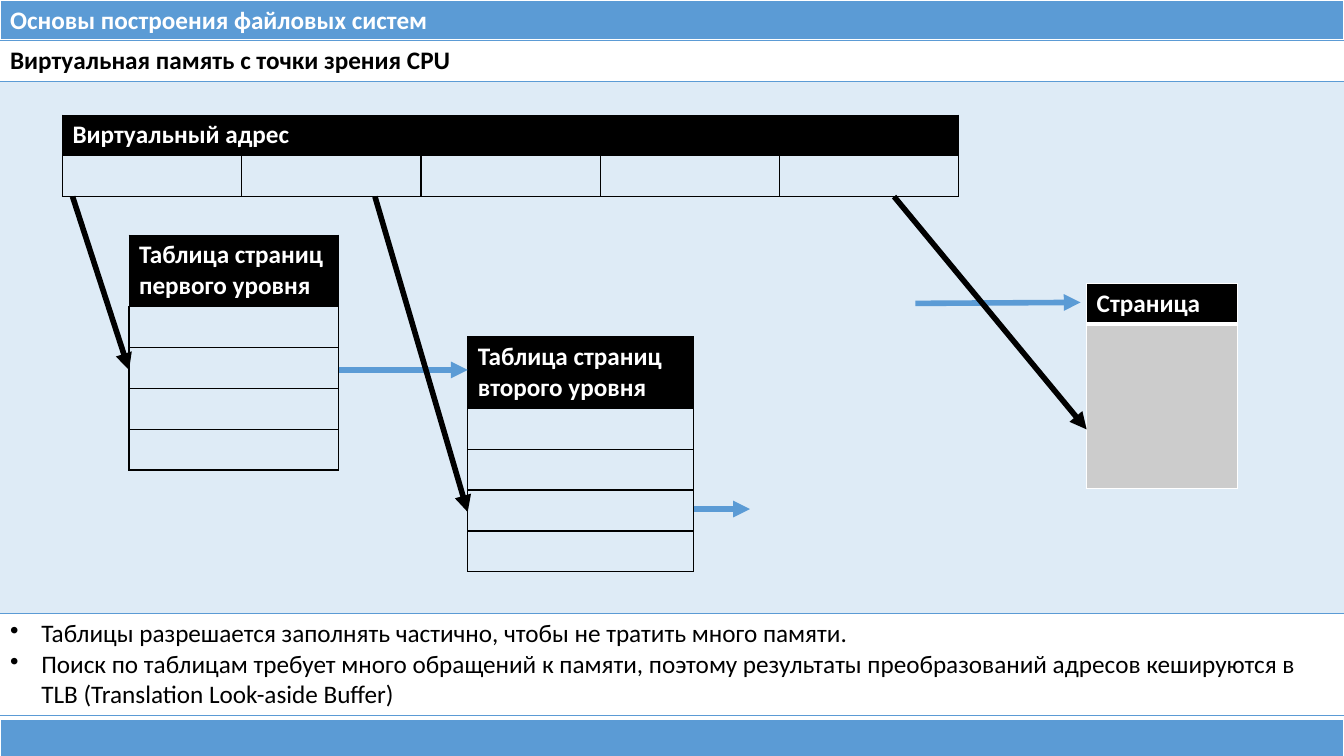
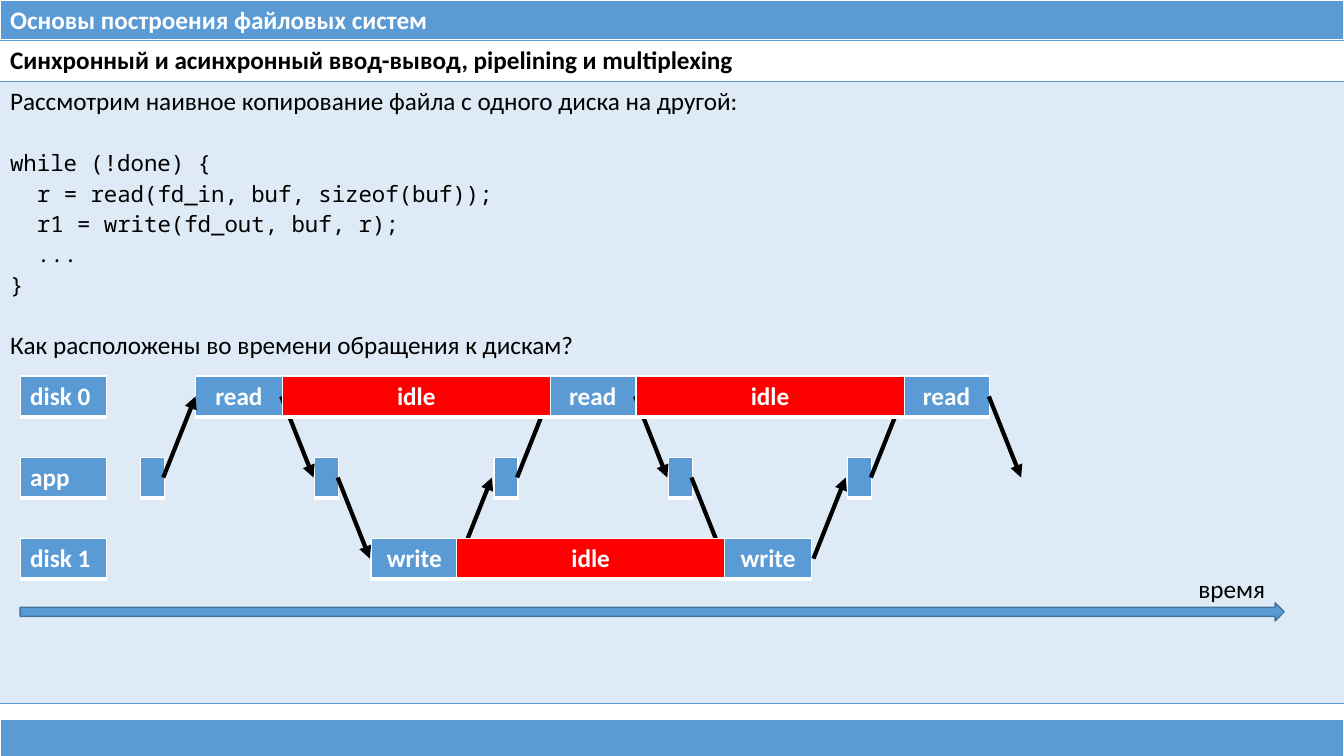
"""Build two lecture slides: virtual memory lookup and disk access timing."""
from dataclasses import dataclass, field

from lxml import etree
from pptx import Presentation
from pptx.dml.color import RGBColor
from pptx.enum.shapes import MSO_CONNECTOR, MSO_SHAPE
from pptx.enum.text import MSO_AUTO_SIZE, PP_ALIGN
from pptx.oxml.ns import qn
from pptx.slide import Slide
from pptx.text.text import _Paragraph as Paragraph
from pptx.util import Inches, Pt

STRAIGHT = MSO_CONNECTOR.STRAIGHT
RIGHT_ARROW = MSO_SHAPE.RIGHT_ARROW
LEFT, CENTER = PP_ALIGN.LEFT, PP_ALIGN.CENTER
FIT_TEXT = MSO_AUTO_SIZE.SHAPE_TO_FIT_TEXT

COLORS = {
    "white": "FFFFFF",
    "black": "000000",
    "blue": "5B9BD5",
    "outline": "43739E",
    "red": "FF0000",
    "gray": "CCCCCC",
}
BODY_FONT, CODE_FONT = "Calibri", "Noto Sans Mono"
NO_STYLE = "{2D5ABB26-0587-4C30-8999-92F81FD0307C}"
SIDES = ("L", "R", "T", "B")

UNIT = Inches(0.1)
COLUMNS, ROWS = 133.33, 75
LINE_ROW = 4.05
BAND_ROW = 4
FOOTER_TOP = 71.4

LANES = {name: 37.3 + 8.05 * index for index, name in enumerate(("disk 0", "app", "disk 1"))}
PERIOD = 35.1
ACCESS_WIDTH, APP_WIDTH, IDLE_WIDTH = 8.6, 2.3, 26.6

Borders = dict[str, tuple[str, float]]
Point = tuple[float, float]


@dataclass(frozen=True)
class Line:
    """One paragraph of text; indents are in grid units."""

    text: str
    color: str = "black"
    bold: bool = False
    font: str = BODY_FONT
    size: int = 18
    align: PP_ALIGN = LEFT
    indent: float = 0
    bullet: bool = False
    before: int = 0


@dataclass(frozen=True)
class Row:
    """A table row whose look is the same in every column."""

    height: float = LINE_ROW
    lines: tuple[Line, ...] = ()
    fill: str | None = None
    opacity: int = 100
    borders: Borders = field(default_factory=dict)
    merged: bool = False


@dataclass(frozen=True)
class Grid:
    """A table of equal columns placed on the slide grid."""

    left: float
    top: float
    width: float
    rows: tuple[Row, ...]
    columns: int = 1


@dataclass(frozen=True)
class Arrow:
    """A straight arrow between two grid points."""

    start: Point
    end: Point
    color: str = "black"
    weight: float = 4


@dataclass(frozen=True)
class Step:
    """A timeline block that recurs once every period."""

    lane: str
    left: float
    count: int
    width: float = ACCESS_WIDTH
    text: str = ""
    fill: str = "blue"


def units(value: float) -> int:
    """Turn grid units into slide lengths."""
    return round(value * UNIT)


def rgb(name: str) -> RGBColor:
    """Look up a palette colour."""
    return RGBColor.from_string(COLORS[name])


def box(color: str, width: float, bottom: float) -> Borders:
    """Give all four borders, with a bottom width of its own."""
    return {side: (color, bottom if side == "B" else width) for side in SIDES}


WHITE_BOX = box("white", 1, 3)
BLACK_BOX = box("black", 1, 1)
HEADER_BOX = box("black", 0.5, 1)
BLUE_RULES = {"T": ("blue", 1), "B": ("blue", 1)}


def write(paragraph: Paragraph, line: Line) -> None:
    """Write and format one paragraph."""
    paragraph.text = line.text
    paragraph.alignment = line.align
    paragraph.space_before = Pt(line.before)
    paragraph.font.name = line.font
    paragraph.font.size = Pt(line.size)
    paragraph.font.bold = line.bold
    paragraph.font.color.rgb = rgb(line.color)
    properties = paragraph._p.get_or_add_pPr()
    if line.indent:
        properties.set("marL", str(units(line.indent)))
    if line.bullet:
        properties.set("indent", str(-units(line.indent)))
        bullet = etree.Element(qn("a:buChar"), char="•")
        properties.find(qn("a:defRPr")).addprevious(bullet)


def draw_grid(slide: Slide, grid: Grid) -> None:
    """Draw a table with its fills, borders and text."""
    height = sum(row.height for row in grid.rows)
    frame = slide.shapes.add_table(
        len(grid.rows), grid.columns,
        units(grid.left), units(grid.top), units(grid.width), units(height))
    table = frame.table
    table.first_row = table.horz_banding = False
    next(frame.element.iter(qn("a:tableStyleId"))).text = NO_STYLE
    for index, row in enumerate(grid.rows):
        table.rows[index].height = units(row.height)
        for column in range(grid.columns):
            cell = table.cell(index, column)
            if row.fill:
                cell.fill.solid()
                cell.fill.fore_color.rgb = rgb(row.fill)
            else:
                cell.fill.background()
            properties = cell._tc.get_or_add_tcPr()
            if row.opacity < 100:
                color = next(properties.iter(qn("a:srgbClr")))
                etree.SubElement(color, qn("a:alpha"), val=str(row.opacity * 1000))
            drawn_sides = [side for side in SIDES if side in row.borders]
            for position, side in enumerate(drawn_sides):
                name, weight = row.borders[side]
                border = etree.Element(qn(f"a:ln{side}"), w=str(int(Pt(weight))))
                solid = etree.SubElement(border, qn("a:solidFill"))
                etree.SubElement(solid, qn("a:srgbClr"), val=COLORS[name])
                properties.insert(position, border)
        if row.merged:
            table.cell(index, 0).merge(table.cell(index, grid.columns - 1))
        text_frame = table.cell(index, 0).text_frame
        for number, line in enumerate(row.lines):
            write(text_frame.add_paragraph() if number else text_frame.paragraphs[0], line)


def draw_arrow(slide: Slide, arrow: Arrow) -> None:
    """Draw an arrow with a triangular head at its end."""
    connector = slide.shapes.add_connector(
        STRAIGHT, *(units(value) for value in arrow.start + arrow.end))
    connector.line.color.rgb = rgb(arrow.color)
    connector.line.width = Pt(arrow.weight)
    outline = next(connector.element.iter(qn("a:ln")))
    etree.SubElement(outline, qn("a:tailEnd"), type="triangle")
    outline.addnext(etree.Element(qn("a:effectLst")))


def draw_block(slide: Slide, left: float, top: float, width: float, text: str = "",
               fill: str = "blue", align: PP_ALIGN = LEFT, height: float = LINE_ROW) -> None:
    """Draw a filled one-cell table with white borders."""
    lines = (Line(text, "white", True, align=align),) if text else ()
    draw_grid(slide, Grid(left, top, width, (Row(height, lines, fill, borders=WHITE_BOX),)))


def draw_step(slide: Slide, step: Step) -> None:
    """Draw every occurrence of a timeline step."""
    for cycle in range(step.count):
        draw_block(slide, step.left + cycle * PERIOD, LANES[step.lane],
                   step.width, step.text, step.fill, CENTER)


def add_lecture_slide(presentation: Presentation, title: str, *body: Row) -> Slide:
    """Add a slide with the shared bands, a title and body rows."""
    slide = presentation.slides.add_slide(presentation.slide_layouts[6])
    draw_block(slide, 0, 0, COLUMNS, "Основы построения файловых систем", height=BAND_ROW)
    draw_block(slide, 0, FOOTER_TOP, COLUMNS, height=BAND_ROW)
    heading = Row(lines=(Line(title, bold=True),), borders=BLUE_RULES)
    draw_grid(slide, Grid(0, BAND_ROW, COLUMNS, (heading, *body)))
    return slide


def header_row(text: str, height: float = LINE_ROW, merged: bool = False) -> Row:
    """Give a black header row with white bold text."""
    return Row(height, (Line(text, "white", True),), "black", borders=HEADER_BOX, merged=merged)


def build_memory_slide(presentation: Presentation) -> None:
    """Show how an address is resolved through page tables."""
    notes = tuple(Line(text, indent=3.1, bullet=True) for text in (
        "Таблицы разрешается заполнять частично, чтобы не тратить много памяти.",
        "Поиск по таблицам требует много обращений к памяти, поэтому результаты "
        "преобразований адресов кешируются в TLB (Translation Look-aside Buffer)",
    ))
    slide = add_lecture_slide(
        presentation, "Виртуальная память с точки зрения CPU",
        Row(52.8, fill="blue", opacity=20, borders={"T": ("blue", 1)}),
        Row(10.15, notes, borders={"B": ("blue", 1)}))
    entry = Row(borders=BLACK_BOX)
    page_rows = (
        Row(lines=(Line("Страница", "white", True),), fill="black", borders=WHITE_BOX),
        Row(16.3, fill="gray", borders=box("white", 1, 1)),
    )
    for grid in (
        Grid(6.2, 11.4, 88.9, (header_row("Виртуальный адрес", merged=True), entry), columns=5),
        Grid(12.8, 23.3, 20.8, (header_row("Таблица страниц первого уровня", 7.1), *[entry] * 4)),
        Grid(46.4, 33.4, 22.4, (header_row("Таблица страниц второго уровня", 7.1), *[entry] * 4)),
        Grid(107.8, 28.1, 15, page_rows),
    ):
        draw_grid(slide, grid)
    for arrow in (
        Arrow((7.2, 19.5), (12.8, 36.7)),
        Arrow((33.6, 36.7), (46.4, 36.7), "blue"),
        Arrow((37.2, 19.5), (46.4, 50.8)),
        Arrow((68.8, 50.5), (74.4, 50.5), "blue"),
        Arrow((90.8, 30.1), (107.2, 30), "blue"),
        Arrow((88.7, 19.5), (107.8, 42.6)),
    ):
        draw_arrow(slide, arrow)


def build_timing_slide(presentation: Presentation) -> None:
    """Show a naive copy loop and its disk timeline."""
    code = tuple(
        Line(text, font=CODE_FONT, size=16, indent=indent, before=before)
        for text, indent, before in (
            ("while (!done) {", 0, 22),
            ("r = read(fd_in, buf, sizeof(buf));", 2.67, 0),
            ("r1 = write(fd_out, buf, r);", 2.67, 0),
            ("...", 2.67, 0),
            ("}", 0, 0),
        ))
    lines = (
        Line("Рассмотрим наивное копирование файла с одного диска на другой:"),
        *code,
        Line("Как расположены во времени обращения к дискам?", before=22),
    )
    slide = add_lecture_slide(
        presentation, "Синхронный и асинхронный ввод-вывод, pipelining и multiplexing",
        Row(61.75, lines, "blue", 20, BLUE_RULES))
    for name, top in LANES.items():
        draw_block(slide, 2, top, ACCESS_WIDTH, name)
    for step in (
        Step("disk 0", 19.4, 3, text="read"),
        Step("disk 1", 36.8, 2, text="write"),
        Step("app", 13.9, 3, APP_WIDTH),
        Step("app", 31.2, 2, APP_WIDTH),
    ):
        draw_step(slide, step)
    for start, end, left, count in (
        ("app", "disk 0", 16.2, 3),
        ("disk 0", "app", 27.9, 3),
        ("app", "disk 1", 33.5, 2),
        ("disk 1", "app", 45.6, 2),
    ):
        for cycle in range(count):
            x = left + cycle * PERIOD
            draw_arrow(slide, Arrow((x, LANES[start] + LINE_ROW / 2),
                                    (x + 3.2, LANES[end] + LINE_ROW / 2), weight=3))
    axis = slide.shapes.add_shape(RIGHT_ARROW, units(2), units(59.8), units(125.4), units(1.8))
    axis.shadow.inherit = False
    axis.fill.solid()
    axis.fill.fore_color.rgb = rgb("blue")
    axis.line.color.rgb = rgb("outline")
    axis.line.width = Pt(1)
    label = slide.shapes.add_textbox(units(117.9), units(56.4), units(8.7), units(4)).text_frame
    label.word_wrap = False
    label.auto_size = FIT_TEXT
    write(label.paragraphs[0], Line("время"))
    draw_step(slide, Step("disk 0", 28, 2, IDLE_WIDTH, "idle", "red"))
    draw_step(slide, Step("disk 1", 45.3, 1, IDLE_WIDTH, "idle", "red"))


def main() -> None:
    """Build and save the presentation."""
    presentation = Presentation()
    presentation.slide_width, presentation.slide_height = units(COLUMNS), units(ROWS)
    build_memory_slide(presentation)
    build_timing_slide(presentation)
    presentation.save("out.pptx")


main()
